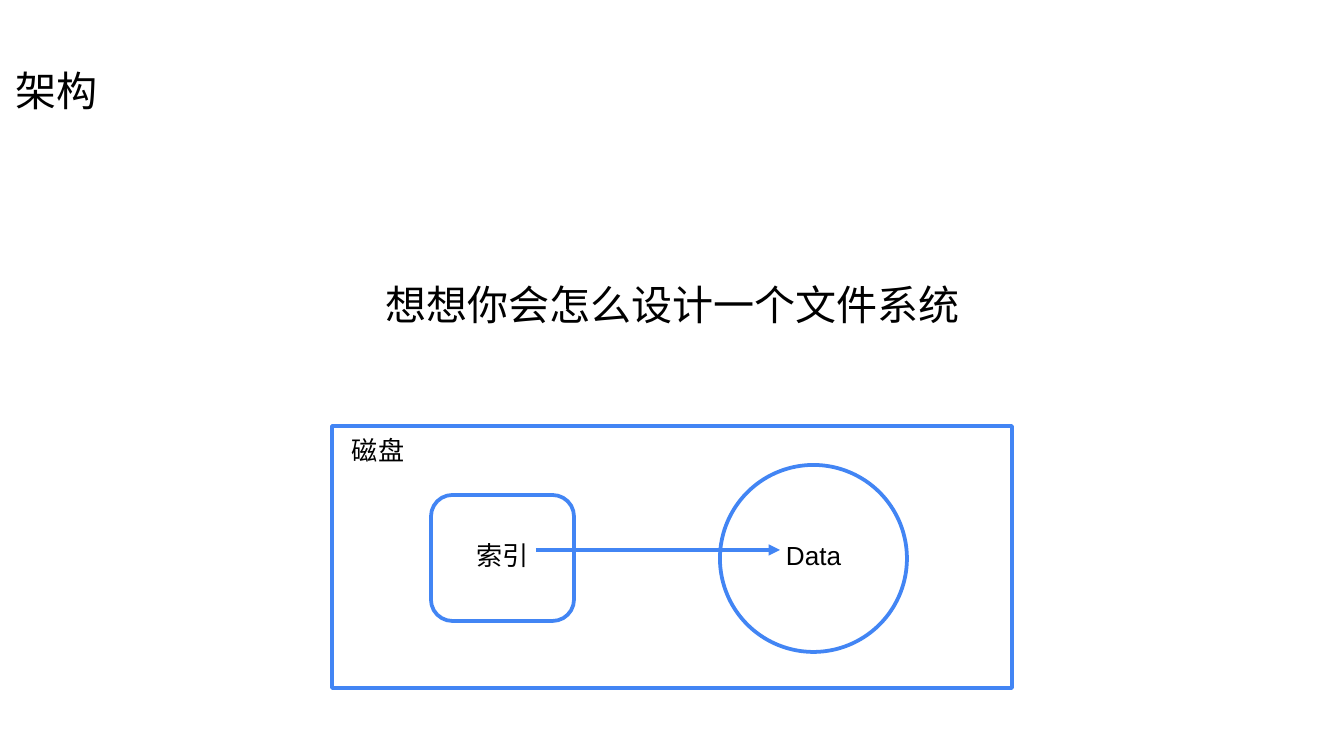
from lxml import etree
from pptx import Presentation
from pptx.dml.color import RGBColor
from pptx.enum.shapes import MSO_CONNECTOR, MSO_SHAPE
from pptx.enum.text import MSO_ANCHOR, MSO_AUTO_SIZE, PP_ALIGN
from pptx.oxml.ns import qn
from pptx.util import Emu, Pt

RECT, ROUND, OVAL = MSO_SHAPE.RECTANGLE, MSO_SHAPE.ROUNDED_RECTANGLE, MSO_SHAPE.OVAL
LINE = MSO_CONNECTOR.STRAIGHT
TOP, MIDDLE = MSO_ANCHOR.TOP, MSO_ANCHOR.MIDDLE
LEFT, CENTER = PP_ALIGN.LEFT, PP_ALIGN.CENTER
FIT, FIXED = MSO_AUTO_SIZE.SHAPE_TO_FIT_TEXT, MSO_AUTO_SIZE.NONE

BLACK = RGBColor(0, 0, 0)
WHITE = RGBColor(255, 255, 255)
BLUE = RGBColor(0x42, 0x85, 0xF4)
FONT = "Arial"
SCALE = 914400 / 134.4

TITLE = ("想想你会怎么设计一个文件系统", (46, 266, 1253, 85))
TOPIC = ("架构", (9, 13, 1325, 155))
PARTS = [
    (RECT, (332, 426, 680, 262), "磁盘", (352, 434, 54, 38)),
    (ROUND, (431, 495, 143, 126), "索引", (476, 539, 54, 38)),
    (OVAL, (720, 465, 187, 187), "Data", (786, 539, 56, 32)),
]
ARROW = (536, 550, 780, 550)


def px(*vals):
    return [Emu(round(v * SCALE)) for v in vals]


def put_text(shape, text, size=14, pad=0, wrap=True, fit=FIXED, anchor=TOP, align=LEFT):
    frame = shape.text_frame
    frame.word_wrap = wrap
    frame.auto_size = fit
    frame.vertical_anchor = anchor
    frame.margin_left = frame.margin_right = Pt(pad)
    frame.margin_top = frame.margin_bottom = Pt(pad)
    para = frame.paragraphs[0]
    para.alignment = align
    run = para.add_run()
    run.text = text
    run.font.size = Pt(size)
    run.font.name = FONT
    run.font.color.rgb = BLACK


def stroke(shape):
    shape.line.color.rgb = BLUE
    shape.line.width = Pt(2)


deck = Presentation()
deck.slide_width, deck.slide_height = px(1344, 756)
slide = deck.slides.add_slide(deck.slide_layouts[5])
shapes = slide.shapes

title = shapes.title
title.left, title.top, title.width, title.height = px(*TITLE[1])
put_text(title, TITLE[0], size=22, pad=7.2, align=CENTER)
put_text(shapes.add_textbox(*px(*TOPIC[1])), TOPIC[0], size=22, pad=3.6, anchor=MIDDLE)

for kind, area, label, spot in PARTS:
    shape = shapes.add_shape(kind, *px(*area))
    shape.shadow.inherit = False
    shape.fill.solid()
    shape.fill.fore_color.rgb = WHITE
    stroke(shape)
    if kind == ROUND:
        shape.adjustments[0] = 0.17
    put_text(shapes.add_textbox(*px(*spot)), label, wrap=False, fit=FIT)

arrow = shapes.add_connector(LINE, *px(*ARROW))
stroke(arrow)
etree.SubElement(arrow.line._get_or_add_ln(), qn("a:tailEnd"), type="triangle")
etree.SubElement(arrow._element.spPr, qn("a:effectLst"))

deck.save("out.pptx")
